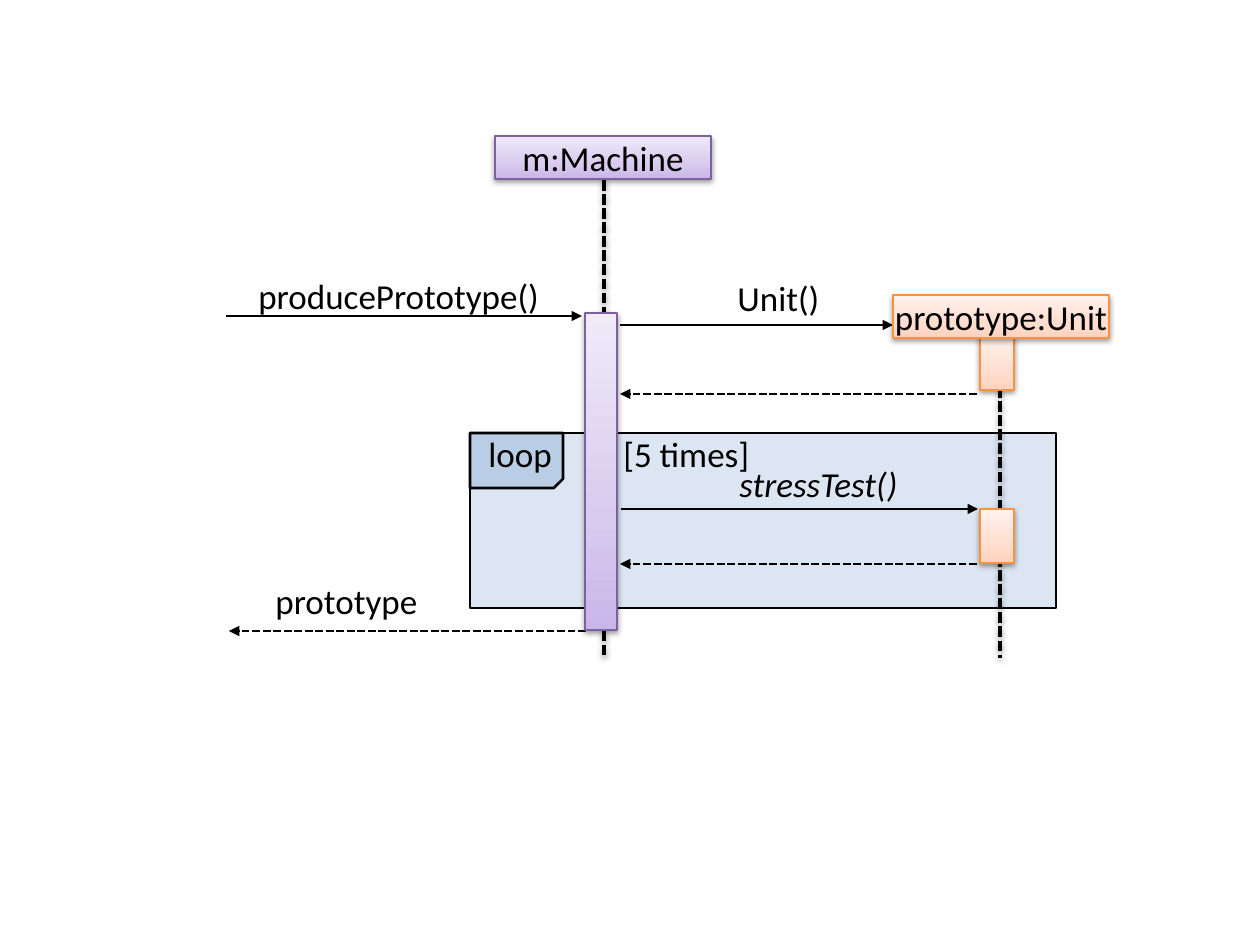
from lxml.etree import SubElement
from pptx import Presentation
from pptx.dml.color import RGBColor
from pptx.enum.dml import MSO_LINE
from pptx.enum.shapes import MSO_CONNECTOR, MSO_SHAPE
from pptx.enum.text import MSO_ANCHOR, MSO_AUTO_SIZE, PP_ALIGN
from pptx.oxml import parse_xml
from pptx.oxml.ns import nsdecls, qn
from pptx.util import Pt

EMU_PER_PX = 914400 / 126
COLORS = {
    "ink": "000000",
    "frame": "DCE6F2",
    "tag": "B9CDE5",
    "machine_line": "7D60A0",
    "unit_line": "F69240",
}
GRADIENTS = {
    "machine": ("C9B5E8", "D8CBEE", "F0EAF9"),
    "unit": ("FFD2BD", "FFDED0", "FFF2ED"),
}


def px(n):
    return round(n * EMU_PER_PX)


def rgb(name):
    return RGBColor.from_string(COLORS[name])


def put_text(tf, text, size=20, italic=False, align=PP_ALIGN.LEFT, tab=None):
    p = tf.paragraphs[0]
    p.alignment = align
    if tab:
        tabs = SubElement(p._p.get_or_add_pPr(), qn("a:tabLst"))
        SubElement(tabs, qn("a:tab"), pos=str(px(tab)), algn="l")
    r = p.add_run()
    r.text = text
    r.font.name = "Calibri"
    r.font.size = Pt(size)
    r.font.italic = italic
    r.font.color.rgb = rgb("ink")


class SequenceDiagram:
    def __init__(self, slide):
        self.slide = slide

    def add_shadow(self, s):
        effects = s._element.spPr.find(qn("a:effectLst"))
        effects.append(parse_xml(
            f'<a:outerShdw {nsdecls("a")} blurRad="40000" dist="20000" dir="5400000" '
            'rotWithShape="0"><a:srgbClr val="000000"><a:alpha val="38000"/>'
            '</a:srgbClr></a:outerShdw>'))

    def panel(self, x, y, w, h, fill, kind=MSO_SHAPE.RECTANGLE):
        s = self.slide.shapes.add_shape(kind, px(x), px(y), px(w), px(h))
        s.shadow.inherit = False
        s.fill.solid()
        s.fill.fore_color.rgb = rgb(fill)
        s.line.color.rgb = rgb("ink")
        s.line.width = Pt(1.5)
        return s

    def bar(self, x, y, w, h, role):
        s = self.slide.shapes.add_shape(
            MSO_SHAPE.RECTANGLE, px(x), px(y), px(w), px(h))
        stops = "".join(
            f'<a:gs pos="{pos}"><a:srgbClr val="{color}"/></a:gs>'
            for pos, color in zip((0, 35000, 100000), GRADIENTS[role]))
        s._element.spPr.insert(2, parse_xml(
            f'<a:gradFill {nsdecls("a")} rotWithShape="1"><a:gsLst>{stops}</a:gsLst>'
            '<a:lin ang="16200000" scaled="0"/></a:gradFill>'))
        s.line.color.rgb = rgb(f"{role}_line")
        s.line.width = Pt(0.75)
        s.shadow.inherit = False
        self.add_shadow(s)
        return s

    def header(self, x, y, text, role):
        tf = self.bar(x, y, 216, 43, role).text_frame
        tf.margin_left = tf.margin_right = tf.margin_top = tf.margin_bottom = 0
        tf.vertical_anchor = MSO_ANCHOR.MIDDLE
        tf.word_wrap = False
        put_text(tf, text, align=PP_ALIGN.CENTER)

    def line(self, x1, y1, x2, y2, width, dashed):
        s = self.slide.shapes.add_connector(
            MSO_CONNECTOR.STRAIGHT, px(x1), px(y1), px(x2), px(y2))
        s.line.color.rgb = rgb("ink")
        s.line.width = Pt(width)
        if dashed:
            s.line.dash_style = MSO_LINE.SQUARE_DOT
        SubElement(s._element.spPr, qn("a:effectLst"))
        return s

    def lifeline(self, x, top, bottom):
        self.add_shadow(self.line(x, top, x, bottom, 2, True))

    def message(self, x1, x2, y, reply=False):
        s = self.line(x1, y, x2, y, 1.5, reply)
        ln = s._element.spPr.find(qn("a:ln"))
        SubElement(ln, qn("a:tailEnd"), type="triangle")

    def label(self, x, y, w, text, h=55, anchor=MSO_ANCHOR.TOP, **fmt):
        tf = self.slide.shapes.add_textbox(px(x), px(y), px(w), px(h)).text_frame
        tf.word_wrap = True
        tf.auto_size = MSO_AUTO_SIZE.NONE
        tf.vertical_anchor = anchor
        put_text(tf, text, **fmt)


def main():
    prs = Presentation()
    prs.slide_width, prs.slide_height = px(1260), px(945)
    d = SequenceDiagram(prs.slides.add_slide(prs.slide_layouts[6]))

    d.panel(470, 433, 586, 175, "frame")
    d.lifeline(604, 180, 658)
    d.header(495, 136, "m:Machine", "machine")
    d.message(226, 582, 316)
    d.message(586, 229, 631, reply=True)
    d.label(263, 573, 169, "prototype")
    d.bar(585, 313, 32, 317, "machine")

    d.lifeline(1000, 387, 658)
    d.message(620, 893, 325)
    d.label(725, 270, 144, "Unit()")
    d.message(621, 978, 509)
    d.label(727, 456, 185, "stressTest()", italic=True)
    for bar_top, reply_y in ((336, 394), (509, 564)):
        d.bar(980, bar_top, 34, 54, "unit")
        d.message(977, 620, reply_y, reply=True)

    tag = d.panel(470, 433, 93, 55, "tag", MSO_SHAPE.SNIP_1_RECTANGLE)
    tag._element.spPr.xfrm.set("flipV", "1")
    d.label(476, 427, 416, "loop\t[5 times]", h=53, anchor=MSO_ANCHOR.MIDDLE, tab=135)
    d.header(893, 295, "prototype:Unit", "unit")
    d.label(246, 268, 314, "producePrototype()")

    prs.save("out.pptx")


if __name__ == "__main__":
    main()
